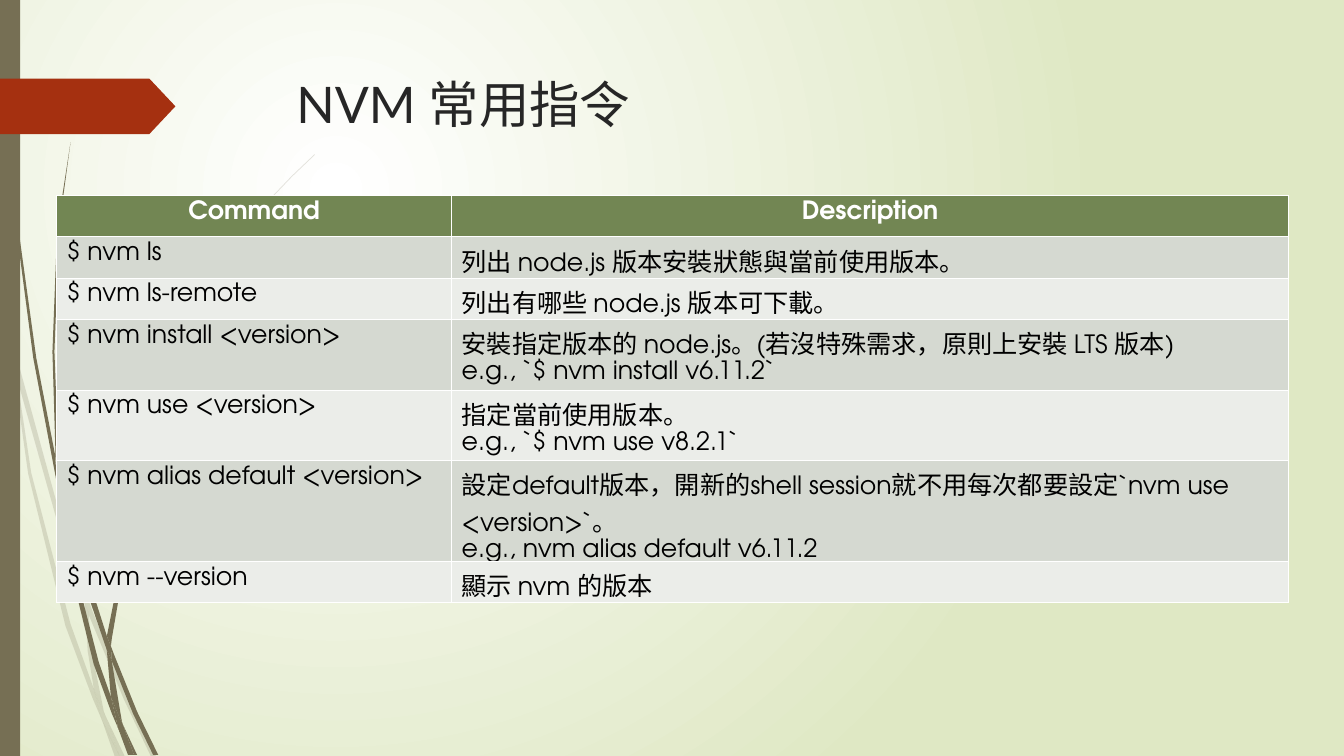
from lxml import etree
from pptx import Presentation
from pptx.dml.color import RGBColor
from pptx.enum.shapes import MSO_SHAPE
from pptx.enum.text import MSO_ANCHOR, PP_ALIGN
from pptx.oxml.ns import qn
from pptx.util import Pt

PX = 9144  # 100 px to the inch
SLIDE_SIZE = (1333, 750)
RECTANGLE, ARROW_TAG = MSO_SHAPE.RECTANGLE, MSO_SHAPE.PENTAGON
TOP, CENTER, LEFT = MSO_ANCHOR.TOP, PP_ALIGN.CENTER, PP_ALIGN.LEFT

THEME = {
    "glow": "FFFFFF", "backdrop": "DFE8C4", "wisp": "766F54", "tag": "A53010",
    "title": {"name": "Lato", "size": 36, "bold": False, "color": "262626"},
    "header": {"name": "TeX Gyre Adventor", "size": 18, "bold": True, "color": "FFFFFF"},
    "body": {"name": "TeX Gyre Adventor", "size": 18, "bold": False, "color": "000000"},
    "header_fill": "728653", "band_fills": ("D5D9D1", "EBEDE9"),
}

TITLE = "NVM 常用指令"
TITLE_BOX = (284, 68, 975, 86)
SIDE_BAR = (0, 0, 20, 750)
TITLE_TAG = (0, 78, 174, 55)
TAG_POINT = 0.47

HEADERS = ("Command", "Description")
COMMANDS = [
    ("$ nvm ls", "列出 node.js 版本安裝狀態與當前使用版本。"),
    ("$ nvm ls-remote", "列出有哪些 node.js 版本可下載。"),
    ("$ nvm install <version>",
     "安裝指定版本的 node.js。(若沒特殊需求，原則上安裝 LTS 版本)\n"
     "e.g., `$ nvm install v6.11.2`"),
    ("$ nvm use <version>", "指定當前使用版本。\ne.g., `$ nvm use v8.2.1`"),
    ("$ nvm alias default <version>",
     "設定default版本，開新的shell session就不用每次都要設定`nvm use <version>`。\n"
     "e.g., nvm alias default v6.11.2"),
    ("$ nvm --version", "顯示 nvm 的版本"),
]
TABLE_ORIGIN = (56, 194)
COLUMN_WIDTHS = (392, 830)
ROW_HEIGHT = 41

# Outlines of the grass blades, in px
PALE_WISPS = [
    [(11, 350), (9, 322), (0, 282), (0, 299), (10, 344)],
    [(58, 522), (84, 599), (85, 586), (62, 520), (14, 345), (17, 376)],
    [(92, 607), (88, 596), (88, 610), (123, 694), (150, 751), (155, 751), (127, 692)],
    [(119, 751), (124, 751), (105, 711)],
    [(93, 683), (70, 619), (31, 469), (17, 376), (11, 350), (28, 470), (65, 621),
     (92, 693), (101, 714), (99, 707)],
    [(84, 599), (87, 646), (93, 683), (96, 692), (105, 711), (103, 706), (91, 646),
     (88, 610), (88, 608)],
    [(88, 584), (110, 462), (160, 349), (229, 245), (268, 198), (290, 175), (312, 154),
     (312, 153), (289, 175), (268, 197), (228, 244), (158, 348), (107, 461), (85, 584),
     (85, 586), (88, 596)],
    [(101, 714), (114, 751), (119, 751)],
    [(88, 608), (88, 610), (88, 596), (85, 586), (84, 599)],
    [(96, 692), (93, 683), (99, 707), (101, 714), (119, 751), (105, 711)],
]
DARK_WISPS = [
    [(7, 110), (17, 233), (33, 355), (56, 477), (57, 481), (55, 457), (55, 453),
     (36, 355), (19, 232), (8, 109), (5, 48), (4, 0), (3, 0), (4, 48)],
    [(88, 592), (106, 645), (106, 633), (106, 631), (93, 590), (60, 472), (64, 505)],
    [(113, 649), (110, 641), (111, 656), (132, 708), (152, 749), (157, 749), (136, 706)],
    [(110, 691), (98, 657), (72, 556), (64, 505), (57, 477), (68, 557), (93, 659),
     (111, 708), (117, 722), (116, 717)],
    [(60, 472), (58, 453), (54, 349), (58, 245), (63, 193), (70, 141), (62, 193),
     (56, 245), (52, 349), (55, 449)],
    [(133, 749), (136, 749), (122, 719)],
    [(57, 477), (64, 505), (60, 472), (55, 449), (55, 453)],
    [(111, 633), (125, 552), (158, 476), (205, 406), (231, 374), (245, 359), (261, 344),
     (260, 344), (245, 358), (231, 373), (204, 405), (156, 474), (122, 551), (106, 631),
     (110, 641)],
    [(117, 722), (127, 749), (131, 749)],
    [(106, 645), (110, 691), (116, 706), (122, 719), (121, 716), (111, 656), (109, 651)],
    [(106, 645), (109, 651), (111, 656), (110, 641), (106, 631), (106, 633)],
    [(116, 706), (110, 691), (116, 717), (117, 722), (130, 749), (133, 749), (122, 719)],
]


def color(name):
    return RGBColor.from_string(name)


def to_emu(lengths):
    return [length * PX for length in lengths]


def paint_background(slide):
    """Radial gradient centred a quarter of the way in from the top left."""
    fill = slide.background.fill
    fill.gradient()
    for stop, name in zip(fill.gradient_stops, ("glow", "backdrop")):
        stop.color.rgb = color(THEME[name])
    gradient = slide.element.find(".//" + qn("a:gradFill"))
    gradient.remove(gradient.find(qn("a:lin")))
    circle = etree.SubElement(gradient, qn("a:path"), path="circle")
    etree.SubElement(circle, qn("a:fillToRect"), l="50000", t="50000", r="100000", b="100000")


def paint_shape(shape, name):
    shape.shadow.inherit = False
    shape.fill.solid()
    shape.fill.fore_color.rgb = color(name)
    shape.line.fill.background()


def add_wisps(slide, outlines, opacity):
    group = slide.shapes.add_group_shape()
    for start, *rest in outlines:
        builder = group.shapes.build_freeform(*start, scale=PX)
        builder.add_line_segments(rest, close=True)
        wisp = builder.convert_to_shape()
        paint_shape(wisp, THEME["wisp"])
        if opacity < 100:
            fill_color = wisp.element.spPr.find(qn("a:solidFill"))[0]
            etree.SubElement(fill_color, qn("a:alpha"), val=str(opacity * 1000))


def write_text(text_frame, text, style, alignment=LEFT):
    text_frame.text = text
    for paragraph in text_frame.paragraphs:
        paragraph.alignment = alignment
        font = paragraph.runs[0].font
        values = {"name": style["name"], "size": Pt(style["size"]), "bold": style["bold"]}
        for attribute, value in values.items():
            setattr(font, attribute, value)
        font.color.rgb = color(style["color"])


def add_command_table(slide):
    rows = [HEADERS, *COMMANDS]
    size = (sum(COLUMN_WIDTHS), ROW_HEIGHT * len(rows))
    table = slide.shapes.add_table(
        len(rows), len(HEADERS), *to_emu(TABLE_ORIGIN + size)).table
    for column, width in zip(table.columns, COLUMN_WIDTHS):
        column.width = width * PX
    for row_index, row in enumerate(rows):
        is_header = row_index == 0
        fill = THEME["header_fill"] if is_header else THEME["band_fills"][(row_index - 1) % 2]
        style = THEME["header" if is_header else "body"]
        for column_index, text in enumerate(row):
            cell = table.cell(row_index, column_index)
            cell.fill.solid()
            cell.fill.fore_color.rgb = color(fill)
            write_text(cell.text_frame, text, style, CENTER if is_header else LEFT)


def main():
    presentation = Presentation()
    presentation.slide_width, presentation.slide_height = to_emu(SLIDE_SIZE)
    slide = presentation.slides.add_slide(presentation.slide_layouts[6])
    paint_background(slide)
    add_wisps(slide, PALE_WISPS, 20)
    add_wisps(slide, DARK_WISPS, 100)
    paint_shape(slide.shapes.add_shape(RECTANGLE, *to_emu(SIDE_BAR)), THEME["wisp"])
    tag = slide.shapes.add_shape(ARROW_TAG, *to_emu(TITLE_TAG))
    tag.adjustments[0] = TAG_POINT
    paint_shape(tag, THEME["tag"])
    title_frame = slide.shapes.add_textbox(*to_emu(TITLE_BOX)).text_frame
    title_frame.word_wrap = True
    title_frame.vertical_anchor = TOP
    write_text(title_frame, TITLE, THEME["title"])
    add_command_table(slide)
    presentation.save("out.pptx")


if __name__ == "__main__":
    main()
